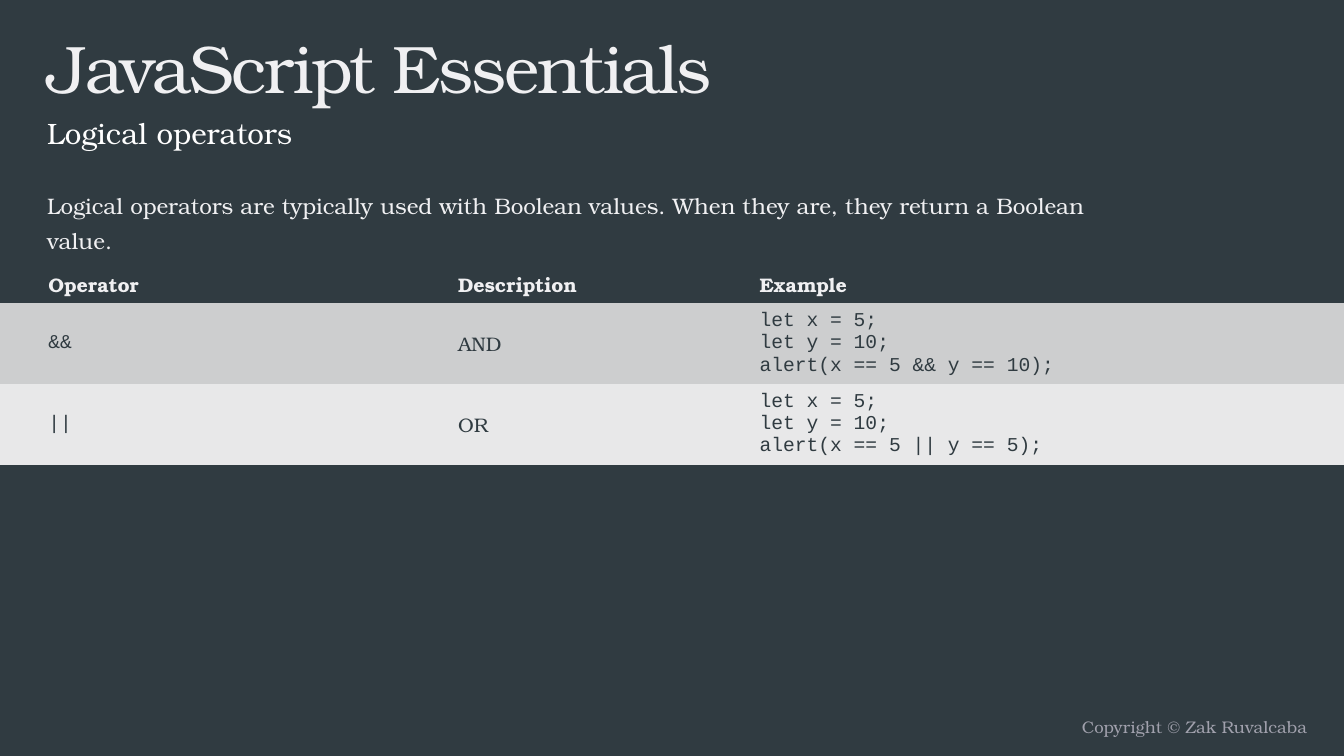
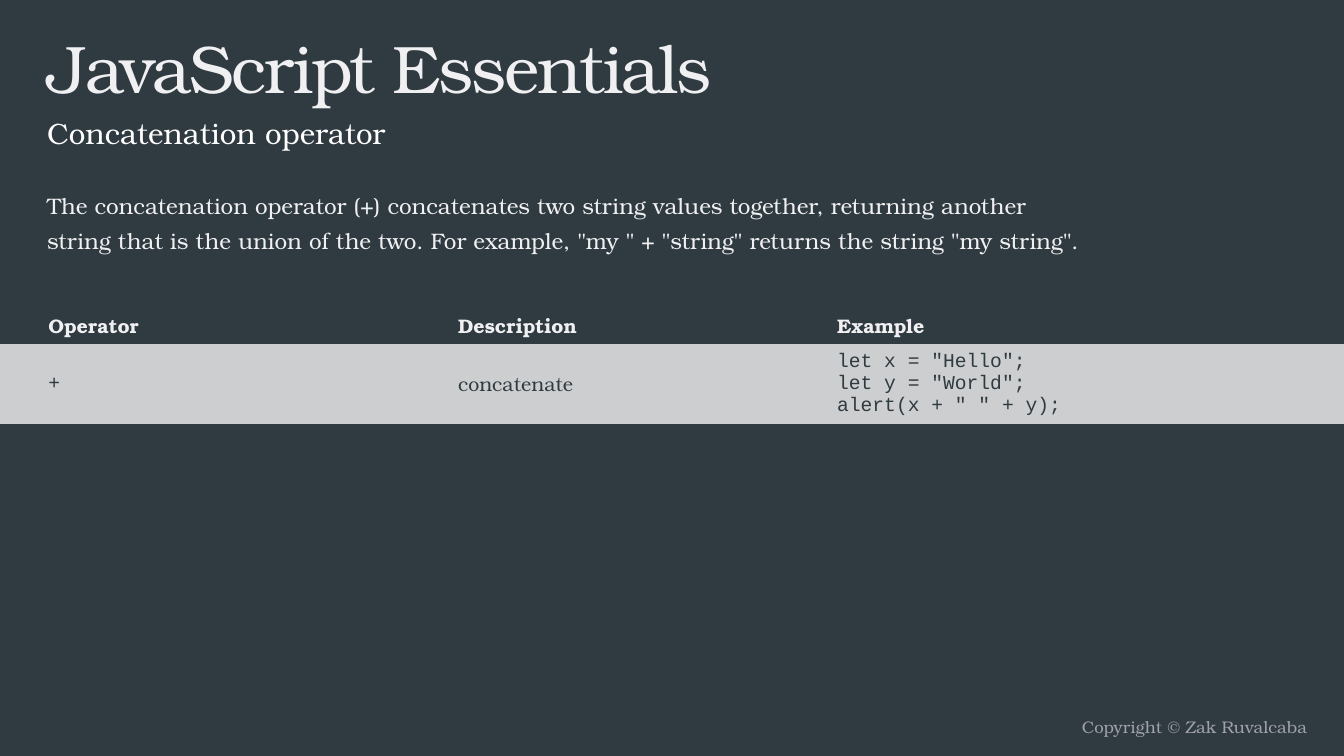
import copy

import pptx
import pptx.dml.color
import pptx.enum.text
import pptx.oxml.ns
import pptx.util

RGBColor = pptx.dml.color.RGBColor
Inches = pptx.util.Inches
PP_ALIGN = pptx.enum.text.PP_ALIGN
qn = pptx.oxml.ns.qn

SLATE = RGBColor(0x30, 0x3B, 0x41)
PALE = RGBColor(0xF0, 0xF0, 0xF2)
WHITE = RGBColor(0xFF, 0xFF, 0xFF)
MUTED = RGBColor(0xA1, 0xA1, 0xAD)
BANDS = (RGBColor(0xCD, 0xCE, 0xCF), RGBColor(0xE8, 0xE8, 0xE9))

SERIF = "TeX Gyre Bonum"
MONO = "Courier New"
PLAIN_TABLE = "{2D5ABB26-0587-4C30-8999-92F81FD0307C}"

SLIDE_W, SLIDE_H = 13.33, 7.5
MARGIN = 0.37
HEADING_W = 11.76
BODY_W = 10.55
HEADER_H, ROW_H = 0.38, 0.76
HEADERS = ("Operator", "Description", "Example")
COLUMN_FONTS = (MONO, SERIF, MONO)


def write(tf, text, size, color, font=SERIF, bold=False, align=None,
          line_spacing=None, tracking=None):
    """Fill a text frame with one paragraph; newlines become line breaks."""
    tf.word_wrap = True
    p = tf.paragraphs[0]
    p.alignment = align
    if line_spacing:
        p.line_spacing = line_spacing
    for i, line in enumerate(text.split("\n")):
        if i:
            p.add_line_break()
        r = p.add_run()
        r.text = line
        r.font.name = font
        r.font.size = pptx.util.Pt(size)
        r.font.bold = bold
        r.font.color.rgb = color
        if tracking:
            r.font._element.set("spc", str(int(tracking * 100)))
    # Breaks take the format of the text around them
    for br in p._p.findall(qn("a:br")):
        br.insert(0, copy.deepcopy(r.font._element))


def add_text(slide, box, text, size, color, **style):
    sp = slide.shapes.add_textbox(*map(Inches, box))
    write(sp.text_frame, text, size, color, **style)


def add_frame(slide, subtitle):
    """Title, subtitle and footer."""
    add_text(slide, (SLIDE_W / 2, 7.06, 6.4, 0.31), "Copyright © Zak Ruvalcaba",
             12, MUTED, align=PP_ALIGN.RIGHT)
    add_text(slide, (MARGIN, 0.21, HEADING_W, 0.79), "JavaScript Essentials",
             48, PALE, tracking=-1.5)
    add_text(slide, (MARGIN, 0.99, HEADING_W, 0.39), subtitle, 21, WHITE,
             line_spacing=1.3)


def add_operator_table(slide, top, description_w, rows):
    """Full-width table with a header and alternating bands."""
    first_w = SLIDE_W / 3
    widths = (first_w, description_w, SLIDE_W - first_w - description_w)
    height = HEADER_H + ROW_H * len(rows)
    frame = slide.shapes.add_table(len(rows) + 1, len(widths), 0, Inches(top),
                                   Inches(SLIDE_W), Inches(height))
    table = frame.table
    table.first_row = table.horz_banding = False
    table._tbl.tblPr.find(qn("a:tableStyleId")).text = PLAIN_TABLE
    for column, width in zip(table.columns, widths):
        column.width = Inches(width)

    for i, values in enumerate((HEADERS, *rows)):
        header = i == 0
        table.rows[i].height = Inches(HEADER_H if header else ROW_H)
        for j, value in enumerate(values):
            cell = table.cell(i, j)
            cell.fill.solid()
            cell.fill.fore_color.rgb = SLATE if header else BANDS[(i - 1) % 2]
            cell.vertical_anchor = pptx.enum.text.MSO_ANCHOR.MIDDLE
            if j == 0:
                cell.margin_left = Inches(0.48)
            write(cell.text_frame, value, 14, PALE if header else SLATE,
                  font=SERIF if header else COLUMN_FONTS[j], bold=header)


def add_operator_slide(prs, subtitle, body, top, description_w, rows):
    slide = prs.slides.add_slide(prs.slide_layouts[6])
    add_frame(slide, subtitle)
    add_text(slide, (MARGIN, 1.78, BODY_W, 5.12), body, 16, PALE,
             line_spacing=1.3)
    add_operator_table(slide, top, description_w, rows)


def main():
    prs = pptx.Presentation()
    prs.slide_width, prs.slide_height = Inches(SLIDE_W), Inches(SLIDE_H)
    background = prs.slide_master.background.fill
    background.solid()
    background.fore_color.rgb = SLATE

    add_operator_slide(
        prs, "Logical operators",
        "Logical operators are typically used with Boolean values. "
        "When they are, they return a Boolean value.",
        2.63, 2.99,
        [("&&", "AND", "let x = 5;\nlet y = 10;\nalert(x == 5 && y == 10);"),
         ("||", "OR", "let x = 5;\nlet y = 10;\nalert(x == 5 || y == 5);")])

    add_operator_slide(
        prs, "Concatenation operator",
        "The concatenation operator (+) concatenates two string values "
        "together, returning another string that is the union of the two. "
        'For example, "my " + "string" returns the string "my string".',
        3.03, 3.76,
        [("+", "concatenate",
          'let x = "Hello";\nlet y = "World";\nalert(x + " " + y);')])

    prs.save("out.pptx")


if __name__ == "__main__":
    main()
